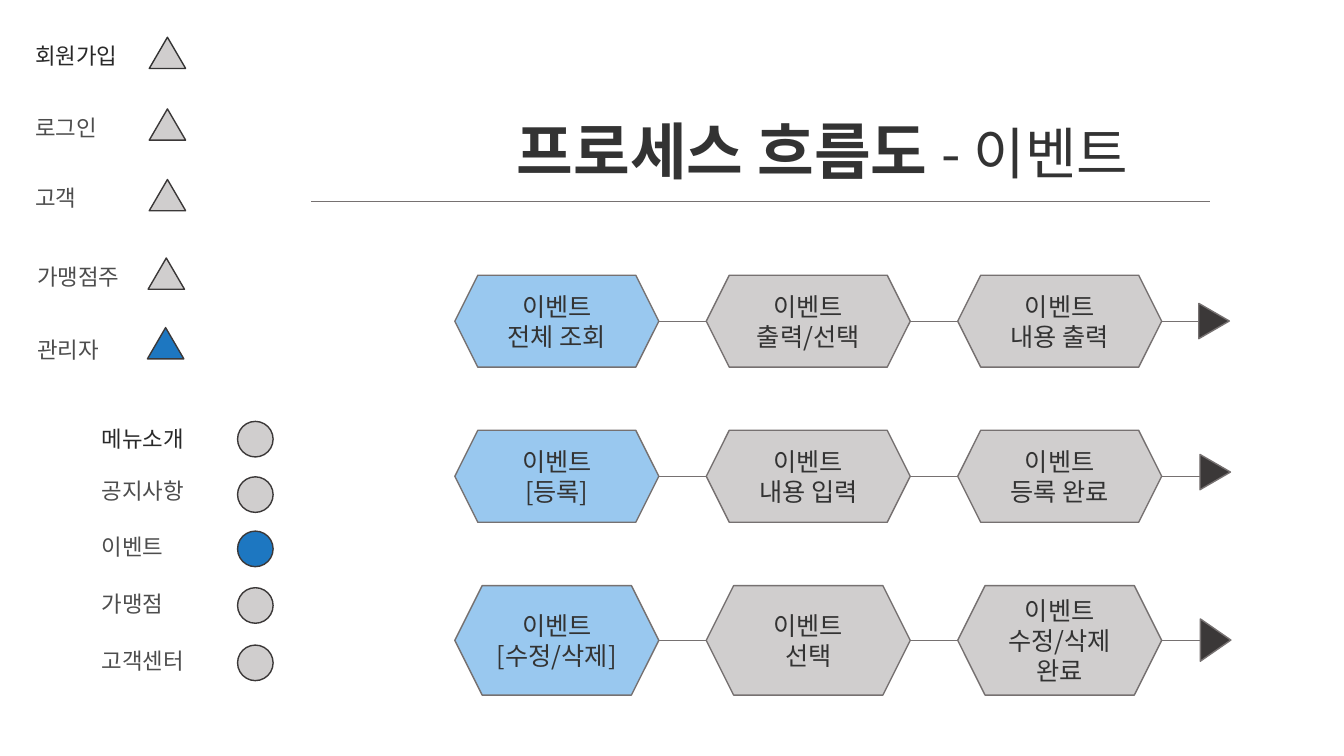
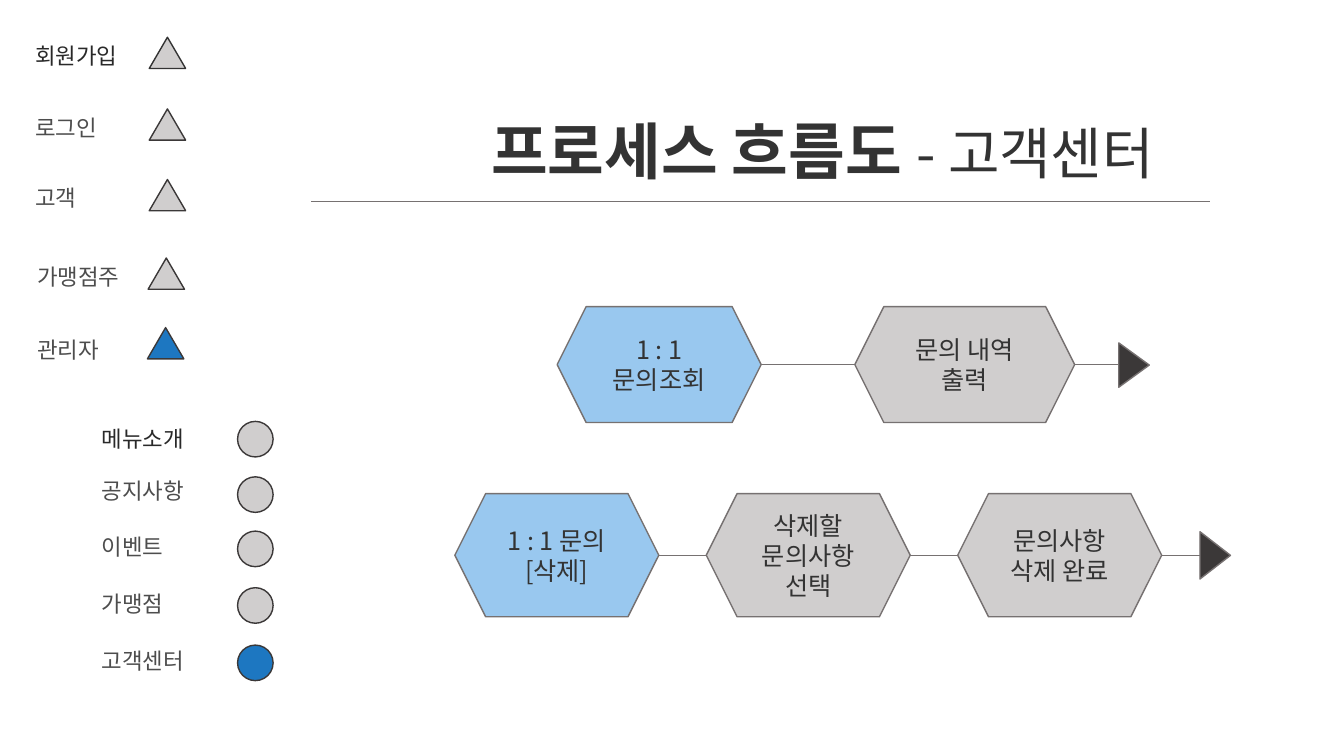
from dataclasses import dataclass
from lxml.etree import SubElement
from pptx import Presentation
from pptx.dml.color import RGBColor
from pptx.enum.shapes import MSO_CONNECTOR as Connector, MSO_SHAPE as Preset
from pptx.enum.text import MSO_ANCHOR as Anchor, MSO_AUTO_SIZE as AutoSize, PP_ALIGN as Align
from pptx.oxml.ns import qn
from pptx.util import Pt


@dataclass(frozen=True)
class Theme:
    font: str = "Noto Sans CJK KR"
    text: RGBColor = RGBColor.from_string("333333")
    label: RGBColor = RGBColor.from_string("4D4D4D")
    first_label: RGBColor = RGBColor.from_string("292929")
    dark: RGBColor = RGBColor.from_string("3B3838")
    border: RGBColor = RGBColor.from_string("767171")
    idle: RGBColor = RGBColor.from_string("D0CECE")
    active: RGBColor = RGBColor.from_string("1D77C1")
    start: RGBColor = RGBColor.from_string("99C8EF")
    title_size: int = 44
    subtitle_size: int = 40
    step_size: int = 18
    label_size: int = 16


theme = Theme()


def add_preset(slide, preset, left, top, width, height, fill, line):
    shape = slide.shapes.add_shape(preset, Pt(left), Pt(top), Pt(width), Pt(height))
    shape.shadow.inherit = False
    shape.fill.solid()
    shape.fill.fore_color.rgb = fill
    shape.line.color.rgb = line
    shape.line.width = Pt(1)
    return shape


def write_text(frame, text, size, color, align):
    frame.word_wrap = True
    frame.text = text
    for paragraph in frame.paragraphs:
        paragraph.alignment = align
        paragraph.font.size = Pt(size)
        paragraph.font.color.rgb = color
        paragraph.font.name = theme.font
        properties = paragraph._p.pPr.find(qn("a:defRPr"))
        SubElement(properties, qn("a:ea"), typeface=theme.font)


role_menu = [
    ("회원가입", 18, 26.6, 106.6, 26.6),
    ("로그인", 18, 77.8, 106.6, 77.8),
    ("고객", 18, 128.2, 106.6, 128.2),
    ("가맹점주", 19.4, 184.3, 105.8, 184.3),
    ("관리자", 19.4, 236.9, 105.3, 234),
]
page_menu = [
    ("메뉴소개", 65.5, 300.2, 169.7, 301),
    ("공지사항", 65.5, 337, 169.7, 340.6),
    ("이벤트", 65.5, 377.3, 169.7, 379.4),
    ("가맹점", 65.5, 418.3, 169.7, 419.8),
    ("고객센터", 65.5, 458.6, 169.7, 460.8),
]
menus = [
    (role_menu, Preset.ISOSCELES_TRIANGLE, 26, 22.3, 91.4),
    (page_menu, Preset.OVAL, 25.4, 25.4, 113.8),
]

STEP_WIDTH, STEP_GAP, FLOW_LEFT = 145.7, 33.9, 324.9
ARROW_LENGTH = 21.8
three_steps = [STEP_WIDTH] * 3
pages = [
    ("이벤트", [
        (FLOW_LEFT, 196.6, 65.7, STEP_GAP, three_steps,
         ["이벤트\n전체 조회", "이벤트\n출력/선택", "이벤트\n내용 출력"], (867.2, 229.3, 25.2)),
        (FLOW_LEFT, 307.4, 65.7, STEP_GAP, three_steps,
         ["이벤트\n[등록]", "이벤트\n내용 입력", "이벤트\n등록 완료"], (868, 337.2, 25.2)),
        (FLOW_LEFT, 418.3, 78.2, STEP_GAP, three_steps,
         ["이벤트\n[수정/삭제]", "이벤트\n선택", "이벤트\n수정/삭제\n완료"], (868.3, 457.2, 30.2)),
    ]),
    ("고객센터", [
        (398, 219, 82.8, 66.9, [STEP_WIDTH, 157],
         ["1 : 1 문의조회", "문의 내역\n출력"], (810, 260.8, 31.7)),
        (FLOW_LEFT, 352.6, 88, STEP_GAP, three_steps,
         ["1 : 1 문의[삭제]", "삭제할\n문의사항\n선택", "문의사항\n삭제 완료"], (868, 396.7, 33.8)),
    ]),
]

presentation = Presentation()
presentation.slide_width, presentation.slide_height = Pt(960), Pt(540)

for page, flows in pages:
    slide = presentation.slides.add_slide(presentation.slide_layouts[6])

    for menu, marker, width, height, label_width in menus:
        for index, (name, label_left, label_top, left, top) in enumerate(menu):
            fill = theme.active if name in ("관리자", page) else theme.idle
            outline = theme.text if name == "회원가입" else theme.dark
            add_preset(slide, marker, left, top, width, height, fill, outline)
            label = slide.shapes.add_textbox(Pt(label_left), Pt(label_top), Pt(label_width), Pt(26.6))
            color = theme.label if index else theme.first_label
            write_text(label.text_frame, name, theme.label_size, color, Align.LEFT)
            label.text_frame.auto_size = AutoSize.SHAPE_TO_FIT_TEXT

    title = slide.shapes.add_textbox(Pt(311.8), Pt(77), Pt(551.5), Pt(60.5))
    write_text(title.text_frame, "프로세스 흐름도 ", theme.title_size, theme.text, Align.CENTER)
    title.text_frame.auto_size = AutoSize.SHAPE_TO_FIT_TEXT
    heading = title.text_frame.paragraphs[0]
    heading.runs[0].font.bold = True
    subtitle = heading.add_run()
    subtitle.text = f"- {page}"
    subtitle.font.size = Pt(theme.subtitle_size)
    subtitle.font.bold = False

    lines = [(222.5, 864, 143.5)]
    for left, top, height, gap, widths, steps, (center_x, center_y, span) in flows:
        middle = top + height / 2
        for index, (width, step) in enumerate(zip(widths, steps)):
            fill = theme.idle if index else theme.start
            hexagon = add_preset(slide, Preset.HEXAGON, left, top, width, height, fill, theme.border)
            write_text(hexagon.text_frame, step, theme.step_size, theme.text, Align.CENTER)
            hexagon.text_frame.vertical_anchor = Anchor.MIDDLE
            right = left + width
            left = right + gap
            is_last = index == len(steps) - 1
            lines.append((right, center_x - ARROW_LENGTH / 2 if is_last else left, middle))
        arrow = add_preset(slide, Preset.ISOSCELES_TRIANGLE, center_x - span / 2,
                           center_y - ARROW_LENGTH / 2, span, ARROW_LENGTH, theme.dark, theme.border)
        arrow.rotation = 90

    for begin, end, height in lines:
        connector = slide.shapes.add_connector(Connector.STRAIGHT, Pt(begin), Pt(height), Pt(end), Pt(height))
        connector.line.color.rgb = theme.border
        connector.line.width = Pt(0.5)
        SubElement(connector._element.spPr, qn("a:effectLst"))

presentation.save("out.pptx")
